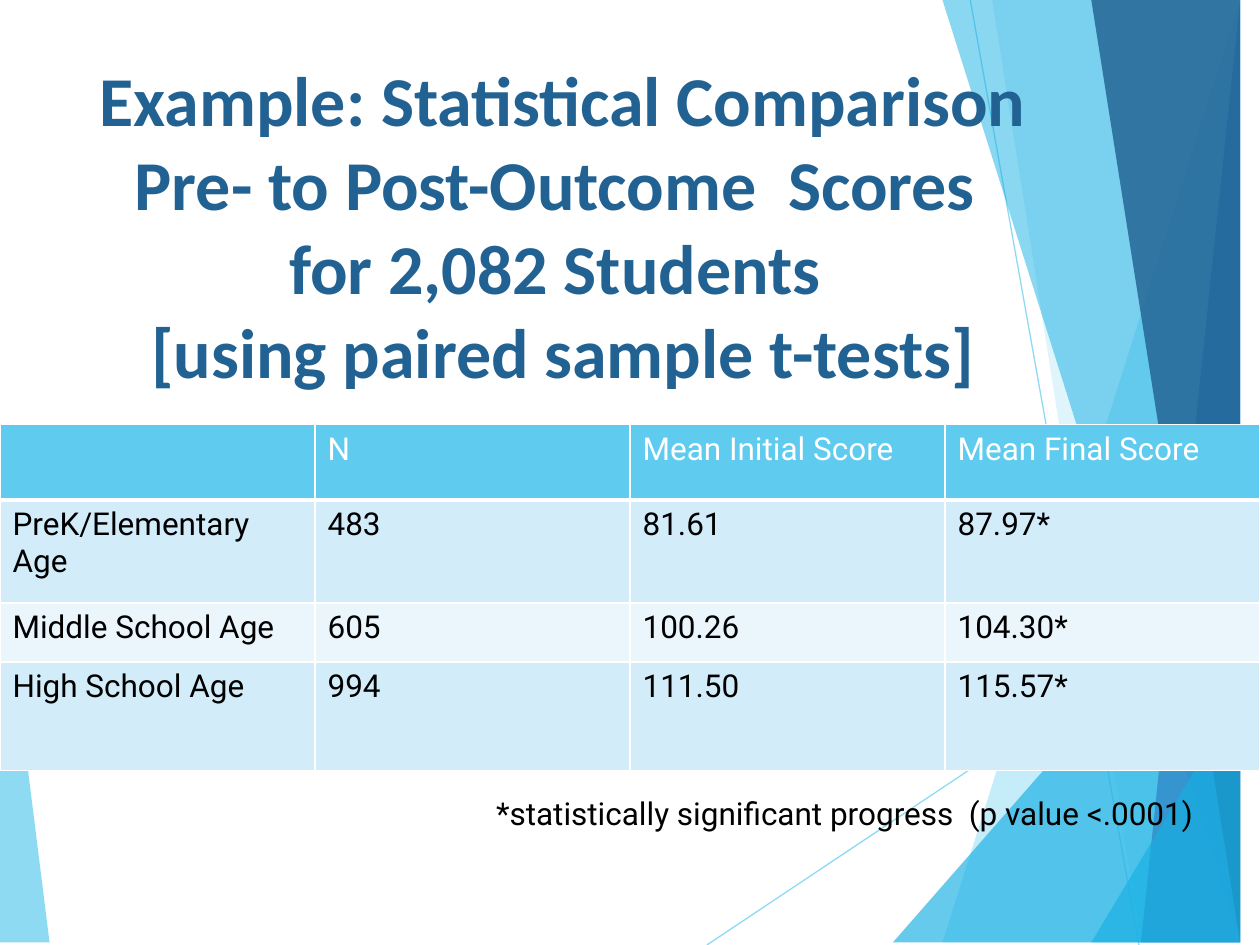
"""Builds a slide comparing pre- and post-outcome scores by age group."""
from lxml.etree import SubElement
from pptx import Presentation
from pptx.dml.color import RGBColor
from pptx.enum.shapes import MSO_CONNECTOR
from pptx.enum.text import MSO_ANCHOR, MSO_AUTO_SIZE, PP_ALIGN
from pptx.oxml.ns import qn
from pptx.util import Cm, Pt

SKY = RGBColor(0x5F, 0xCB, 0xEF)
CYAN = RGBColor(0x17, 0xB0, 0xE4)
BLUE = RGBColor(0x2E, 0x83, 0xC3)
NAVY = RGBColor(0x22, 0x62, 0x92)
PALE = RGBColor(0xD2, 0xEC, 0xF9)
PALER = RGBColor(0xEA, 0xF6, 0xFC)
WHITE = RGBColor(0xFF, 0xFF, 0xFF)
BLACK = RGBColor(0, 0, 0)

WIDTH, HEIGHT = 25.4, 19.05
BOTTOM_RIGHT, TOP_RIGHT = (WIDTH, HEIGHT), (WIDTH, 0)

TITLE_LINES = [
    "Example: Statistical Comparison",
    "Pre- to Post-Outcome  Scores ",
    "for 2,082 Students ",
    "[using paired sample t-tests]",
]
SCORES = [
    ("", "N", "Mean Initial Score", "Mean Final Score"),
    ("PreK/Elementary Age", "483", "81.61", "87.97*"),
    ("Middle School Age", "605", "100.26", "104.30*"),
    ("High School Age", "994", "111.50", "115.57*"),
]
ROW_HEIGHTS = [1.52, 2.08, 1.19, 2.18]
ROW_FILLS = [SKY, PALE, PALER, PALE]
FOOTNOTE = "*statistically significant progress  (p value <.0001)"

LEFT_FACET = ([(0, 11.15), (1.24, HEIGHT), (0, HEIGHT)], SKY, 70)
RAYS = [((14.25, HEIGHT), (WIDTH, 11.61)), ((19.56, 0), (22.96, HEIGHT))]
RIGHT_FACETS = [
    ([(24.77, 0), (19.15, HEIGHT), BOTTOM_RIGHT, TOP_RIGHT], SKY, 36),
    ([(20.02, 0), (23.34, HEIGHT), BOTTOM_RIGHT, TOP_RIGHT], SKY, 20),
    ([(18.44, HEIGHT), (WIDTH, 10.9), BOTTOM_RIGHT], CYAN, 66),
    ([(19.48, 0), (24.64, HEIGHT), BOTTOM_RIGHT, TOP_RIGHT], CYAN, 50),
    ([(24.92, 0), (23.04, HEIGHT), BOTTOM_RIGHT, TOP_RIGHT], BLUE, 70),
    ([(22.48, 0), (25.1, HEIGHT), BOTTOM_RIGHT, TOP_RIGHT], NAVY, 82),
    ([(22.4, HEIGHT), (WIDTH, 13.59), BOTTOM_RIGHT], CYAN, 66),
]


def set_opacity(shape, percent):
    color = next(shape.element.spPr.iter(qn("a:srgbClr")))
    SubElement(color, qn("a:alpha"), val=str(percent * 1000))


def add_facet(page, points, color, opacity):
    builder = page.shapes.build_freeform(*points[0], scale=Cm(1))
    builder.add_line_segments(points[1:], close=True)
    facet = builder.convert_to_shape()
    facet.shadow.inherit = False
    facet.fill.solid()
    facet.fill.fore_color.rgb = color
    facet.line.fill.background()
    set_opacity(facet, opacity)


def add_ray(page, start, end):
    ends = [Cm(value) for value in (*start, *end)]
    ray = page.shapes.add_connector(MSO_CONNECTOR.STRAIGHT, *ends)
    ray.line.color.rgb = SKY
    ray.line.width = Pt(0.75)
    set_opacity(ray, 70)
    SubElement(ray.element.spPr, qn("a:effectLst"))


def style_font(para, name, size, color, bold=False):
    para.font.name = name
    para.font.size = Pt(size)
    para.font.color.rgb = color
    para.font.bold = bold


def add_title(page):
    title = page.shapes.title
    title.element.getparent().append(title.element)
    title.left, title.top = Cm(-0.58), Cm(0.58)
    title.width, title.height = Cm(23.85), Cm(7.52)
    frame = title.text_frame
    frame.word_wrap = True
    frame.auto_size = MSO_AUTO_SIZE.NONE
    frame.vertical_anchor = MSO_ANCHOR.TOP
    frame.margin_top = Cm(0.56)
    frame.text = "\n".join(TITLE_LINES)
    for para in frame.paragraphs:
        para.alignment = PP_ALIGN.CENTER
        style_font(para, "Calibri", 40, NAVY, True)


def set_borders(cell, bottom_width):
    properties = cell._tc.get_or_add_tcPr()
    for side, width in (("L", 1), ("R", 1), ("T", 1), ("B", bottom_width)):
        border = SubElement(properties, qn(f"a:ln{side}"), w=str(Pt(width)))
        fill = SubElement(border, qn("a:solidFill"))
        SubElement(fill, qn("a:srgbClr"), val=str(WHITE))


def add_score_table(page):
    table = page.shapes.add_table(
        len(SCORES), len(SCORES[0]), 0, Cm(8.56), Cm(WIDTH), Cm(sum(ROW_HEIGHTS))
    ).table
    table.first_row = table.horz_banding = False
    for row, height in enumerate(ROW_HEIGHTS):
        table.rows[row].height = Cm(height)
        for column, text in enumerate(SCORES[row]):
            cell = table.cell(row, column)
            cell.text = text
            set_borders(cell, 1 if row else 3)
            cell.fill.solid()
            cell.fill.fore_color.rgb = ROW_FILLS[row]
            style_font(cell.text_frame.paragraphs[0], "Roboto", 18, BLACK if row else WHITE)


def add_footnote(page):
    box = page.shapes.add_textbox(Cm(9.75), Cm(15.88), Cm(15.24), Cm(1.02))
    box.text_frame.word_wrap = True
    box.text_frame.text = FOOTNOTE
    style_font(box.text_frame.paragraphs[0], "Roboto", 18, BLACK)


def main():
    deck = Presentation()
    deck.slide_width, deck.slide_height = Cm(WIDTH), Cm(HEIGHT)
    page = deck.slides.add_slide(deck.slide_layouts[5])
    add_facet(page, *LEFT_FACET)
    for start, end in RAYS:
        add_ray(page, start, end)
    for facet in RIGHT_FACETS:
        add_facet(page, *facet)
    add_title(page)
    add_score_table(page)
    add_footnote(page)
    deck.save("out.pptx")


if __name__ == "__main__":
    main()
